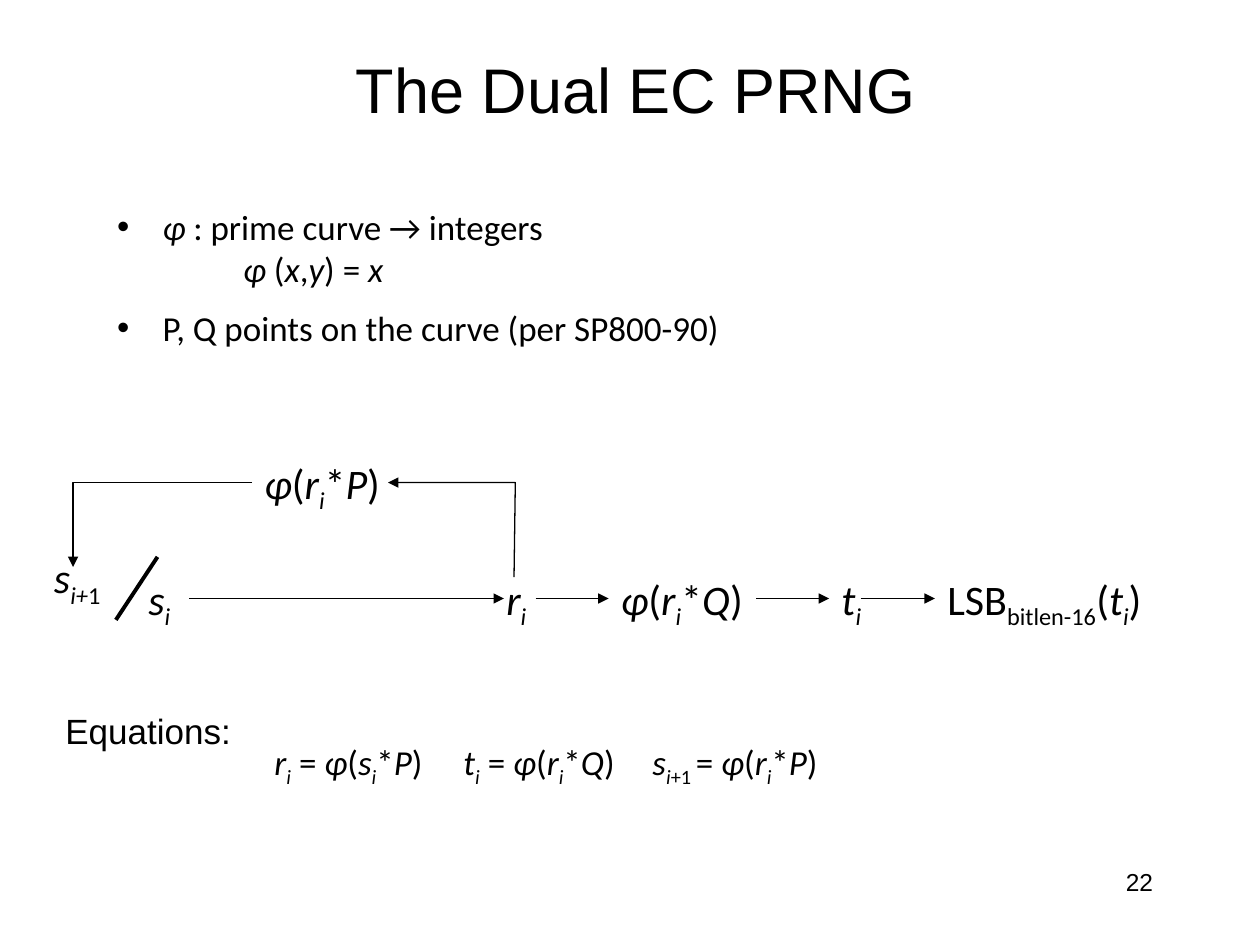
from dataclasses import dataclass
from pptx import Presentation
from pptx.dml.color import RGBColor as RGB
from pptx.enum.shapes import MSO_CONNECTOR as Conn
from pptx.enum.text import MSO_ANCHOR as Anchor, MSO_AUTO_SIZE as Fit, PP_ALIGN as Align
from pptx.oxml.ns import qn
from pptx.util import Inches, Pt
from lxml.etree import SubElement as Sub


@dataclass(frozen=True)
class Theme:
    ink: RGB = RGB(0, 0, 0)
    sans: str = "Arial"
    math: str = "Calibri"
    title: int = 36
    text: int = 20
    node: int = 24
    page: int = 14
    thin: float = 0.75
    thick: float = 2.25


THEME = Theme()


def style(para, font, size, align=Align.LEFT):
    para.font.name, para.font.size = font, Pt(size)
    para.font.color.rgb = THEME.ink
    para.alignment = align


def write(para, text):
    """Add runs to para: ~ switches italic and _ switches subscript."""
    italic = False
    low = False
    part = ""
    for char in text + "~":
        if char not in "~_":
            part += char
            continue
        if part:
            run = para.add_run()
            run.text = part
            run.font.italic = italic
            if low:
                run.font._element.set("baseline", "-25000")
            part = ""
        if char == "~":
            italic = not italic
        else:
            low = not low


def place(shape, box):
    shape.left, shape.top, shape.width, shape.height = map(Inches, box)


def label(slide, box, text, font, size, align=Align.LEFT):
    frame = slide.shapes.add_textbox(*map(Inches, box)).text_frame
    frame.word_wrap = True
    para = frame.paragraphs[0]
    style(para, font, size, align)
    write(para, text)


def ink(shape, width, arrow):
    """Set the line, with an arrowhead at its end if asked."""
    shape.line.color.rgb = THEME.ink
    shape.line.width = Pt(width)
    props = shape._element.spPr
    if arrow:
        Sub(props.find(qn("a:ln")), qn("a:tailEnd"), type="triangle")
    if props.find(qn("a:effectLst")) is None:
        Sub(props, qn("a:effectLst"))


def line(slide, start, end, width=THEME.thin, arrow=True):
    ends = map(Inches, (*start, *end))
    ink(slide.shapes.add_connector(Conn.STRAIGHT, *ends), width, arrow)


def elbow(slide, *points):
    first, *rest = [tuple(map(Inches, point)) for point in points]
    pen = slide.shapes.build_freeform(*first)
    pen.add_line_segments(rest, close=False)
    shape = pen.convert_to_shape()
    shape.fill.background()
    ink(shape, THEME.thin, True)


def head(slide, box):
    title = slide.shapes.title
    place(title, box)
    frame = title.text_frame
    frame.text = "The Dual EC PRNG"
    frame.vertical_anchor = Anchor.MIDDLE
    style(frame.paragraphs[0], THEME.sans, THEME.title, Align.CENTER)


def points(slide, box):
    body = slide.placeholders[1]
    place(body, box)
    frame = body.text_frame
    frame.auto_size = Fit.NONE
    frame.vertical_anchor = Anchor.TOP
    # text, left margin, hanging indent, space before
    rows = [
        ("~φ~ : prime curve → integers", 0.36, -0.36, 0),
        ("~φ~ (~x~,~y~) = ~x~", 1, 0, 0),
        ("P, Q points on the curve (per SP800-90)", 0.36, -0.36, 10),
    ]
    for num, (text, left, hang, gap) in enumerate(rows):
        para = frame.add_paragraph() if num else frame.paragraphs[0]
        style(para, THEME.math, THEME.text)
        para.space_before = Pt(gap)
        props = para._p.get_or_add_pPr()
        props.set("marL", str(Inches(left)))
        props.set("indent", str(Inches(hang)))
        # bullet marks stand before the default run properties
        mark = Sub(props, qn("a:buChar"), char="•") if hang else Sub(props, qn("a:buNone"))
        props.find(qn("a:defRPr")).addprevious(mark)
        write(para, text)


def flow(slide, box):
    x, y = box[:2]
    row, mid, top = 0.92, 1.17, 0.25

    def at(dx, dy):
        return x + dx, y + dy

    nodes = [
        ("~φ~(~r_i_~*~P~)", 1.67, 0, 1.25),
        ("~s_i+~1_", 0, 0.75, 0.75),
        ("~s_i_~", 0.75, row, 0.5),
        ("~r_i_~", 3.59, row, 0.42),
        ("~φ~(~r_i_~*~Q~)", 4.5, row, 1.25),
        ("~t_i_~", 6.25, row, 0.42),
        ("LSB_bitlen-16_(~t_i_~)", 7.09, row, 2.17),
    ]
    for text, dx, dy, width in nodes:
        label(slide, (*at(dx, dy), width, 0.5), text, THEME.math, THEME.node)
    for start, end in [(1.17, 3.67), (3.92, 4.5), (5.67, 6.25), (6.5, 7.09)]:
        line(slide, at(start, mid), at(end, mid))
    line(slide, at(0.92, 0.84), at(0.59, 1.34), THEME.thick, False)
    elbow(slide, at(3.75, 1), at(3.76, top), at(2.75, top))
    elbow(slide, at(1.67, top), at(0.25, top), at(0.25, row))


def sums(slide, box):
    x, y, width, _ = box
    label(slide, (x, y, 4.43, 0.44), "Equations:", THEME.sans, THEME.text)
    text = "\t".join([
        "~r_i_~ = ~φ~(~s_i_~*~P~)",
        "~t_i_~ = ~φ~(~r_i_~*~Q~)",
        "~s_i~+1 _= ~φ~(~r_i_~*~P~)",
    ])
    label(slide, (x + 1.66, y + 0.25, width - 1.66, 0.44), text, THEME.math, THEME.text)


def main():
    deck = Presentation()
    deck.slide_width, deck.slide_height = Inches(10), Inches(7.5)
    slide = deck.slides.add_slide(deck.slide_layouts[1])
    head(slide, (0.17, 0.08, 9.75, 1.25))
    points(slide, (0.83, 1.58, 8.33, 1.28))
    flow(slide, (0.33, 3.58, 9.26, 1.42))
    sums(slide, (0.42, 5.58, 8.08, 0.69))
    label(slide, (7.17, 6.83, 2.08, 0.5), "22", THEME.sans, THEME.page, Align.RIGHT)
    deck.save("out.pptx")


if __name__ == "__main__":
    main()
